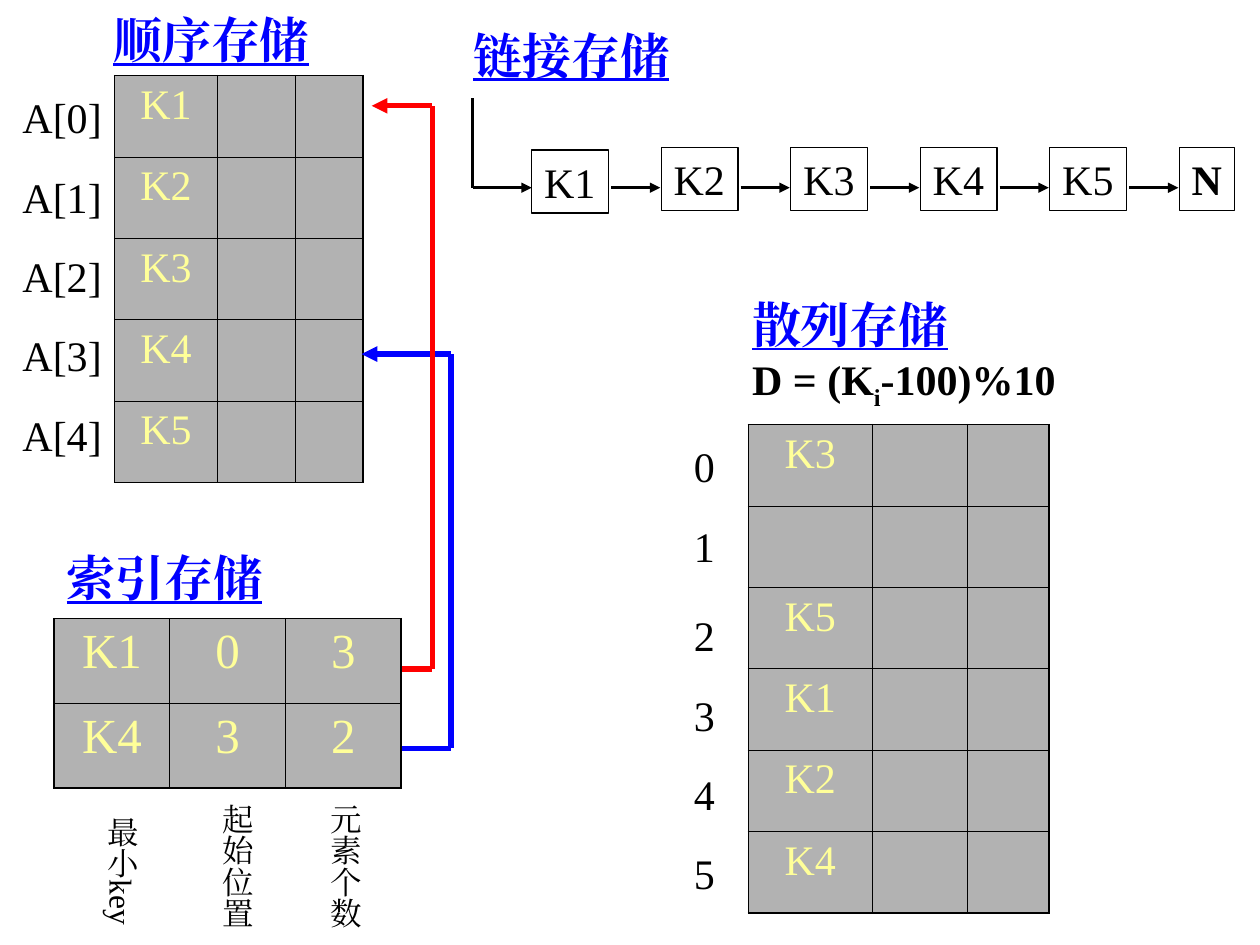
from lxml import etree
from pptx import Presentation
from pptx import util as u
from pptx.dml.color import RGBColor
from pptx.enum import shapes, text
from pptx.oxml.ns import qn

COLORS = {"black": "000000", "blue": "0000FF", "red": "FF0000",
          "cell": "B2B2B2", "key": "FFFF99"}
FONT = "Times New Roman"

prs = Presentation()
prs.slide_width, prs.slide_height = u.Inches(10), u.Inches(7.5)
sp_tree = prs.slides.add_slide(prs.slide_layouts[6]).shapes
COL = prs.slide_width / 100
ROW = prs.slide_height / 75


def grid(x, y, *size):
    return [round(n * unit) for n, unit in zip((x, y, *size), (COL, ROW, COL, ROW))]


def write(p, content, size=24, color="black", bold=False, underline=False,
          align=text.PP_ALIGN.LEFT, before=0, baseline=0):
    p.alignment = align
    p.space_before = u.Pt(before)
    r = p.add_run()
    r.text = content
    r.font.name, r.font.size = FONT, u.Pt(size)
    r.font.bold, r.font.underline = bold, underline
    r.font.color.rgb = RGBColor.from_string(COLORS[color])
    rpr = r.font._element
    etree.SubElement(rpr, qn("a:ea"), typeface=FONT)
    if baseline:
        rpr.set("baseline", str(baseline * 1000))


tables = [
    (9.1, 6, [8.15, 6.2, 5.35], 6.46, 24, 6,
     [["K1"], ["K2"], ["K3"], ["K4"], ["K5"]]),
    (4.3, 49.1, [9.18] * 3, 6.73, 28, 7,
     [["K1", "0", "3"], ["K4", "3", "2"]]),
    (59.4, 33.7, [9.8, 7.55, 6.5], 6.46, 24, 6,
     [["K3"], [], ["K5"], ["K1"], ["K2"], ["K4"]]),
]
for x, y, widths, height, size, before, rows in tables:
    table = sp_tree.add_table(len(rows), len(widths),
                              *grid(x, y, sum(widths), height * len(rows))).table
    table.first_row = table.horz_banding = False
    for column, width in zip(table.columns, widths):
        column.width = round(width * COL)
    for i, row in enumerate(rows):
        table.rows[i].height = round(height * ROW)
        for j in range(len(widths)):
            cell = table.cell(i, j)
            cell.fill.solid()
            cell.fill.fore_color.rgb = RGBColor.from_string(COLORS["cell"])
            if j < len(row):
                write(cell.text_frame.paragraphs[0], row[j], size=size, color="key",
                      align=text.PP_ALIGN.CENTER, before=before)
            edges = {"lnL": j == 0, "lnR": j == len(widths) - 1,
                     "lnT": i == 0, "lnB": i == len(rows) - 1}
            tc_pr = cell._tc.get_or_add_tcPr()
            for k, (side, outer) in enumerate(edges.items()):
                ln = etree.Element(qn(f"a:{side}"), w=str(u.Pt(1.08 if outer else 0.45)))
                fill = etree.SubElement(ln, qn("a:solidFill"))
                etree.SubElement(fill, qn("a:srgbClr"), val=COLORS["black"])
                tc_pr.insert(k, ln)

heading = dict(size=28, color="blue", bold=True, underline=True)
labels = [
    (8, 0.3, 20.8, 5.7, "顺序存储", heading),
    (36.6, 1.5, 21.3, 5.7, "链接存储", heading),
    (4.3, 43, 22.8, 5.7, "索引存储", heading),
    (58.7, 22.9, 26.1, 10.2, "散列存储", heading),
]
labels += [(0.8, 6.8 + 6.3 * i, 8.3, 5, f"A[{i}]", {}) for i in range(5)]
labels += [(54.1, 34.5 + 6.3 * i + 0.8 * (i > 1), 3.6, 5, str(i), {}) for i in range(6)]
for x, y, w, h, content, style in labels:
    tf = sp_tree.add_textbox(*grid(x, y, w, h)).text_frame
    tf.word_wrap = style is heading
    tf.auto_size = text.MSO_AUTO_SIZE.SHAPE_TO_FIT_TEXT
    write(tf.paragraphs[0], content, **style)
    if content == "散列存储":
        p = tf.add_paragraph()
        for part, baseline in (("D = (K", 0), ("i", -25), ("-100)%10", 0)):
            write(p, part, bold=True, baseline=baseline)

for x, y, h, content in [(6.7, 63.8, 10.2, "最小key"),
                         (15.8, 62.8, 11, "起始位置"),
                         (24.4, 62.8, 11, "元素个数")]:
    tf = sp_tree.add_textbox(*grid(x, y, 5, h)).text_frame
    tf.word_wrap = False
    tf.auto_size = text.MSO_AUTO_SIZE.SHAPE_TO_FIT_TEXT
    tf.margin_left = tf.margin_right = u.Inches(0.05)
    tf.margin_top = tf.margin_bottom = u.Inches(0.1)
    tf._txBody.bodyPr.set("vert", "eaVert")
    write(tf.paragraphs[0], content, size=18)

PITCH = 10.28
for i, node in enumerate(["K1", "K2", "K3", "K4", "K5", "N"]):
    last = node == "N"
    sp = sp_tree.add_shape(shapes.MSO_SHAPE.RECTANGLE,
                           *grid(42.2 + PITCH * i, 11.7 if i else 11.9,
                                 4.4 if last else 6.1, 5))
    sp.shadow.inherit = False
    sp.fill.background()
    sp.line.color.rgb = RGBColor.from_string(COLORS["black"])
    sp.line.width = u.Pt(0.75)
    tf = sp.text_frame
    tf.word_wrap = False
    tf.auto_size = text.MSO_AUTO_SIZE.SHAPE_TO_FIT_TEXT
    tf.vertical_anchor = text.MSO_ANCHOR.TOP
    write(tf.paragraphs[0], node, bold=last)

lines = [((48.5 + PITCH * i, 14.9), (52.4 + PITCH * i, 14.9), "black", 1.5, True)
         for i in range(5)]
lines += [
    ((37.5, 7.8), (37.5, 14.9), "black", 1.5, False),
    ((37.5, 14.9), (42.2, 14.9), "black", 1.5, True),
    ((31.9, 59.4), (35.8, 59.4), "blue", 3, False),
    ((35.8, 59.4), (35.8, 28.1), "blue", 3, False),
    ((35.8, 28.1), (28.7, 28.1), "blue", 3, True),
    ((31.9, 53.1), (34.3, 53.1), "red", 3, False),
    ((34.3, 53.1), (34.3, 8.4), "red", 3, False),
    ((34.3, 8.4), (29.5, 8.4), "red", 3, True),
]
for start, end, color, width, arrow in lines:
    sp = sp_tree.add_connector(shapes.MSO_CONNECTOR.STRAIGHT, *grid(*start), *grid(*end))
    sp.line.color.rgb = RGBColor.from_string(COLORS[color])
    sp.line.width = u.Pt(width)
    sp_pr = sp._element.spPr
    if arrow:
        etree.SubElement(sp_pr.find(qn("a:ln")), qn("a:tailEnd"), type="triangle")
    etree.SubElement(sp_pr, qn("a:effectLst"))

prs.save("out.pptx")
